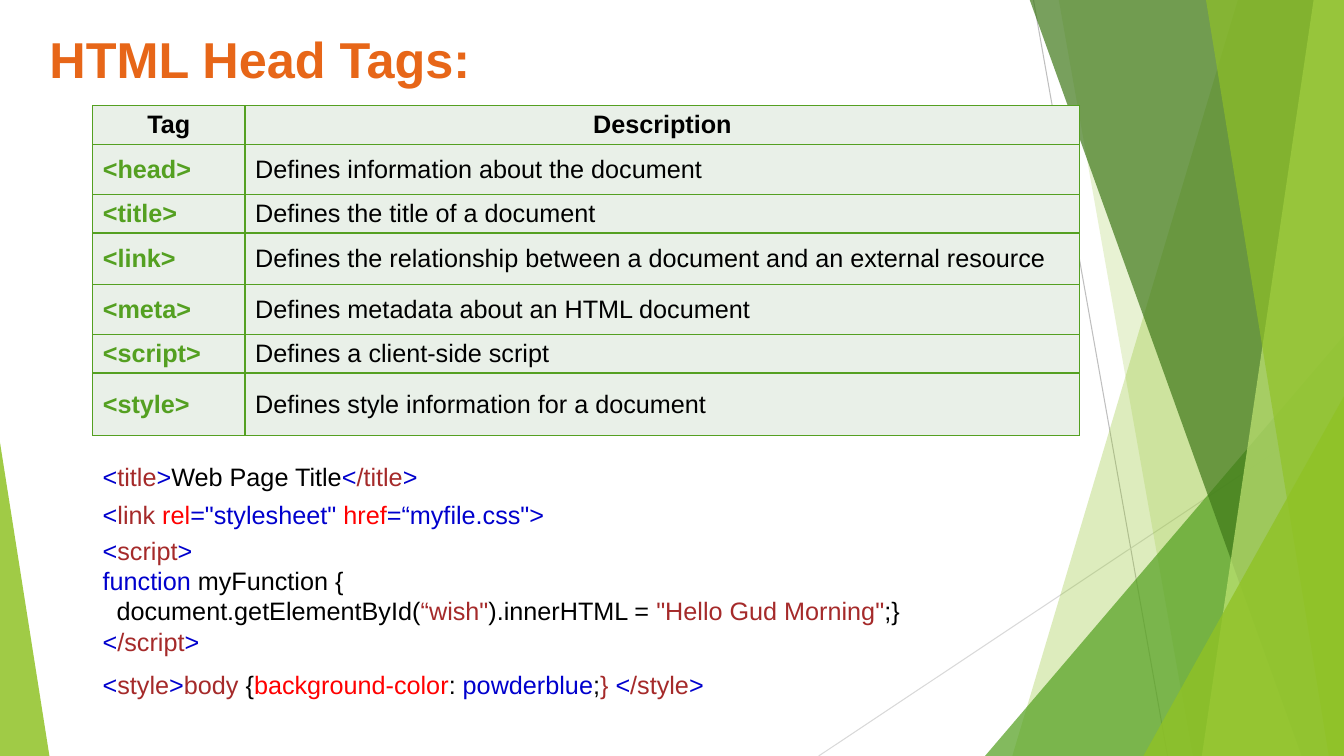
from lxml.etree import SubElement
from pptx import Presentation
from pptx.dml.color import RGBColor
from pptx.enum.shapes import MSO_CONNECTOR, MSO_SHAPE
from pptx.enum.text import MSO_ANCHOR, MSO_AUTO_SIZE, PP_ALIGN
from pptx.oxml.ns import qn
from pptx.util import Inches, Pt

BLACK = RGBColor(0x00, 0x00, 0x00)
BLUE = RGBColor(0x00, 0x00, 0xCD)
BROWN = RGBColor(0xA5, 0x2A, 0x2A)
RED = RGBColor(0xFF, 0x00, 0x00)
ORANGE = RGBColor(0xE7, 0x66, 0x18)
GREEN = RGBColor(0x54, 0xA0, 0x21)
LIME = RGBColor(0x90, 0xC2, 0x26)
DARK = RGBColor(0x3F, 0x78, 0x19)
PALE = RGBColor(0xC0, 0xE4, 0x74)
MINT = RGBColor(0xE9, 0xF0, 0xE8)
GRAY = RGBColor(0xBF, 0xBF, 0xBF)
SILVER = RGBColor(0xD9, 0xD9, 0xD9)
WIDE, HIGH = 13.33, 7.5


class Deck:
    face = "Arial"
    size = Pt(18)

    def __init__(self):
        self.show = Presentation()
        self.show.slide_width = Inches(WIDE)
        self.show.slide_height = Inches(HIGH)
        self.slide = self.show.slides.add_slide(self.show.slide_layouts[5])
        self.shapes = self.slide.shapes

    def style(self, font, color=None, bold=None, size=None):
        font.name = self.face
        font.size = size or self.size
        font.bold = bold
        if color is not None:
            font.color.rgb = color

    def title(self, text, *box):
        item = self.shapes.title
        item.left, item.top, item.width, item.height = map(Inches, box)
        frame = item.text_frame
        frame.text = text
        frame.vertical_anchor = MSO_ANCHOR.TOP
        frame.margin_left = Inches(0.24)
        frame.margin_top = Inches(0.1)
        para = frame.paragraphs[0]
        para.alignment = PP_ALIGN.LEFT
        self.style(para.font, ORANGE, True, Pt(36))

    def line(self, color, *ends):
        item = self.shapes.add_connector(MSO_CONNECTOR.STRAIGHT, *map(Inches, ends))
        item.line.color.rgb = color
        item.line.width = Pt(0.75)
        SubElement(item._element.spPr, qn("a:effectLst"))

    def paint(self, item, color, alpha):
        item.shadow.inherit = False
        item.line.fill.background()
        item.fill.solid()
        item.fill.fore_color.rgb = color
        tone = item._element.spPr.find(qn("a:solidFill"))[0]
        SubElement(tone, qn("a:alpha"), val=str(alpha * 1000))

    def band(self, top, base, color, alpha):
        edge = -0.01
        form = self.shapes.build_freeform(Inches(top), Inches(edge))
        points = [(WIDE, edge), (WIDE, HIGH), (base, HIGH)]
        form.add_line_segments([(Inches(x), Inches(y)) for x, y in points])
        self.paint(form.convert_to_shape(), color, alpha)

    def wedge(self, left, top, width, peak, color, alpha):
        box = map(Inches, (left, top, width, HIGH - top))
        item = self.shapes.add_shape(MSO_SHAPE.ISOSCELES_TRIANGLE, *box)
        item.adjustments[0] = peak
        self.paint(item, color, alpha)

    def cell(self, cell, text, color, bold, align):
        props = cell._tc.get_or_add_tcPr()
        for side in ("lnL", "lnR", "lnT", "lnB"):
            edge = SubElement(props, qn("a:" + side), w=str(Pt(1)))
            fill = SubElement(edge, qn("a:solidFill"))
            SubElement(fill, qn("a:srgbClr"), val=str(GREEN))
        cell.fill.solid()
        cell.fill.fore_color.rgb = MINT
        cell.vertical_anchor = MSO_ANCHOR.MIDDLE
        cell.text = text
        para = cell.text_frame.paragraphs[0]
        para.alignment = align
        self.style(para.font, color, bold)

    def table(self, rows, cols, highs, *box):
        size = len(rows), len(cols)
        grid = self.shapes.add_table(*size, *map(Inches, box)).table
        for col, width in zip(grid.columns, cols):
            col.width = Inches(width)
        for r, (row, high) in enumerate(zip(rows, highs)):
            grid.rows[r].height = Inches(high)
            align = PP_ALIGN.LEFT if r else PP_ALIGN.CENTER
            for c, text in enumerate(row):
                color = GREEN if r and c == 0 else BLACK
                self.cell(grid.cell(r, c), text, color, r == 0 or c == 0, align)

    def code(self, parts, top, width, height, wrap=True):
        box = map(Inches, (0.92, top, width, height))
        frame = self.shapes.add_textbox(*box).text_frame
        frame.word_wrap = wrap
        frame.auto_size = MSO_AUTO_SIZE.SHAPE_TO_FIT_TEXT
        para = frame.paragraphs[0]
        self.style(para.font)
        for text, color in parts:
            for i, piece in enumerate(text.split("\n")):
                if i:
                    para.add_line_break()
                if piece:
                    run = para.add_run()
                    run.text = piece
                    run.font.color.rgb = color


def tag(name):
    return [("<", BLUE), (name, BROWN), (">", BLUE)]


def main():
    deck = Deck()
    deck.line(GRAY, 10.25, 0, 11.58, HIGH)
    deck.line(SILVER, WIDE, 4.03, 8.12, HIGH)
    deck.band(12.28, 10.04, LIME, 30)
    deck.band(10.5, 11.83, LIME, 20)
    deck.wedge(9.77, 3.33, 3.56, 1, GREEN, 72)
    deck.band(10.21, 12.91, DARK, 70)
    deck.band(13.03, 11.92, PALE, 70)
    deck.band(11.96, 13.18, LIME, 65)
    deck.wedge(11.34, 3.93, 1.99, 1, LIME, 80)
    deck.wedge(0, 4.39, 0.49, 0, LIME, 85)
    deck.title("HTML Head Tags:", 0.25, 0.18, 10.9, 0.87)

    rows = [
        ("Tag", "Description"),
        ("<head>", "Defines information about the document"),
        ("<title>", "Defines the title of a document"),
        ("<link>", "Defines the relationship between a document and an external resource"),
        ("<meta>", "Defines metadata about an HTML document"),
        ("<script>", "Defines a client-side script"),
        ("<style>", "Defines style information for a document"),
    ]
    highs = [0.35, 0.5, 0.35, 0.51, 0.5, 0.35, 0.62]
    deck.table(rows, [1.51, 8.28], highs, 0.92, 1.05, 9.79, sum(highs))

    page = tag("title") + [("Web Page Title", BLACK)] + tag("/title")
    link = [
        ("<", BLUE), ("link", BROWN), (" rel", RED), ('="stylesheet"', BLUE),
        (" href", RED), ('=“myfile.css">', BLUE),
    ]
    script = tag("script") + [
        ("\nfunction", BLUE),
        (" myFunction {\n  document.getElementById(", BLACK),
        ('“wish"', BROWN), (").innerHTML = ", BLACK),
        ('"Hello Gud Morning"', BROWN), (";}\n", BLACK),
    ] + tag("/script")
    style = tag("style") + [
        ("body ", BROWN), ("{", BLACK), ("background-color", RED), (":", BLACK),
        (" powderblue", BLUE), (";", BLACK), ("} ", BROWN),
    ] + tag("/style")
    deck.code(page, 4.53, 3.35, 0.4, False)
    deck.code(link, 4.9, 4.69, 0.4, False)
    deck.code(script, 5.26, 9.17, 1.31)
    deck.code(style, 6.59, 6.67, 0.4)
    deck.show.save("out.pptx")


if __name__ == "__main__":
    main()
